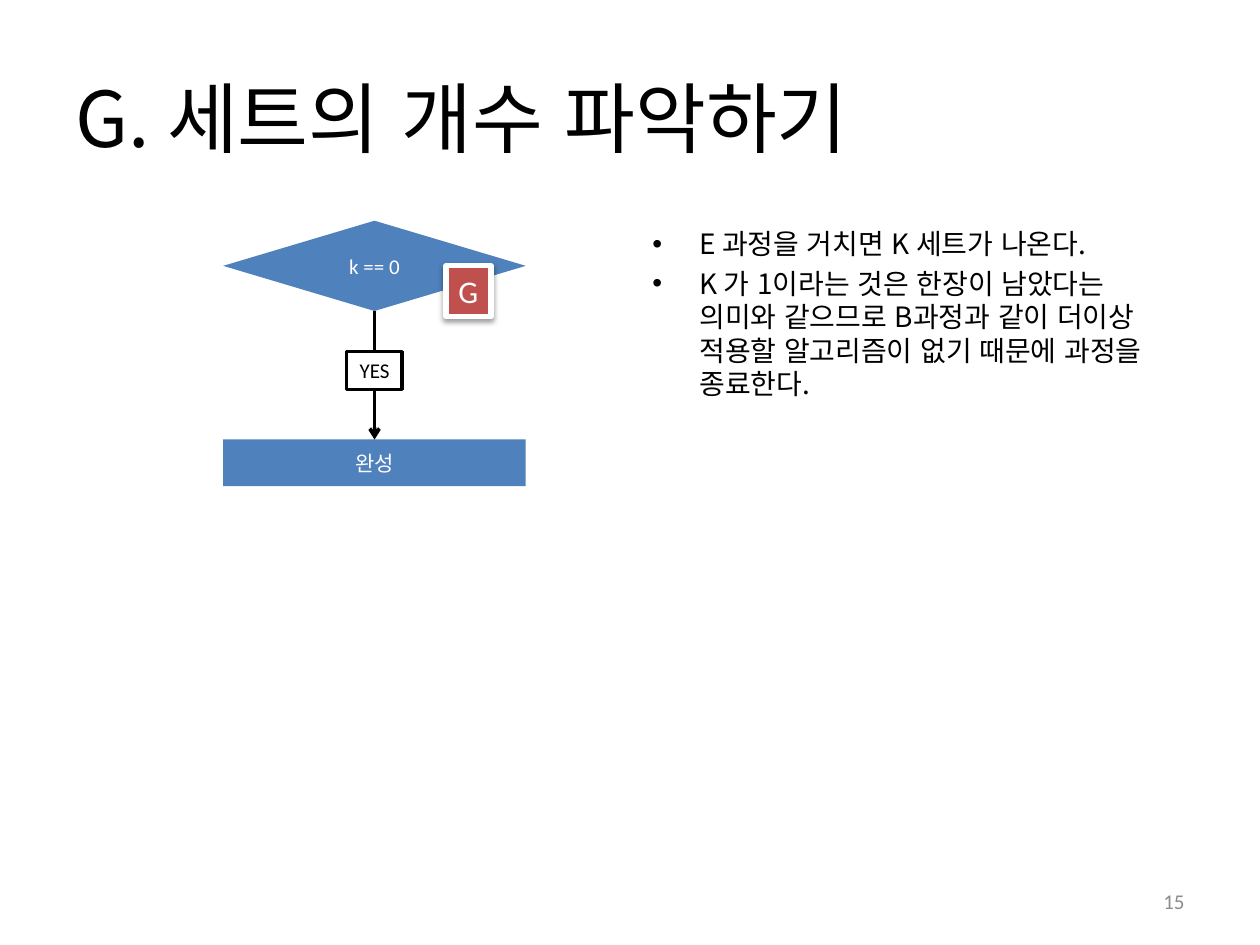
from dataclasses import dataclass

from lxml import etree
from pptx import Presentation
from pptx.dml.color import RGBColor
from pptx.enum.lang import MSO_LANGUAGE_ID
from pptx.enum.shapes import MSO_CONNECTOR, MSO_SHAPE
from pptx.enum.text import MSO_ANCHOR, PP_ALIGN
from pptx.oxml import parse_xml
from pptx.oxml.ns import nsdecls, qn
from pptx.util import Cm, Pt

COLORS = {"black": "000000", "white": "FFFFFF", "blue": "4F81BD",
          "red": "C0504D", "gray": "8C8C8C"}
KOREAN = "Noto Sans CJK KR"
LATIN = "Calibri"


@dataclass
class Label:
    lines: list[str]
    size: int
    color: str = "black"
    font: str = LATIN
    align: PP_ALIGN = PP_ALIGN.LEFT
    anchor: MSO_ANCHOR = MSO_ANCHOR.MIDDLE
    wrap: bool = True
    bullets: bool = False


@dataclass
class Box:
    left: float
    top: float
    width: float
    height: float
    label: Label
    kind: MSO_SHAPE | None = None  # None makes a text box
    fill: str = "white"
    line: str | None = None
    line_width: float = 2
    shadow: bool = False


def rgb(name: str) -> RGBColor:
    return RGBColor.from_string(COLORS[name])


def write(frame, label: Label) -> None:
    frame.word_wrap = label.wrap
    frame.vertical_anchor = label.anchor
    for number, text in enumerate(label.lines):
        paragraph = frame.add_paragraph() if number else frame.paragraphs[0]
        paragraph.alignment = label.align
        run = paragraph.add_run()
        run.text = text
        run.font.size = Pt(label.size)
        run.font.name = label.font
        run.font.color.rgb = rgb(label.color)
        run.font.language_id = MSO_LANGUAGE_ID.KOREAN
        latin = run.font._element.find(qn("a:latin"))
        latin.addnext(parse_xml(f'<a:ea {nsdecls("a")} typeface="{KOREAN}"/>'))
        if label.bullets:
            paragraph.space_before = Pt(label.size * 0.2)
            properties = paragraph._p.get_or_add_pPr()
            properties.set("marL", str(Cm(0.95)))
            properties.set("indent", str(-Cm(0.95)))
            etree.SubElement(properties, qn("a:buFont")).set("typeface", "Arial")
            etree.SubElement(properties, qn("a:buChar")).set("char", "•")


def add_box(slide, box: Box) -> None:
    place = [Cm(v) for v in (box.left, box.top, box.width, box.height)]
    if box.kind is None:
        shape = slide.shapes.add_textbox(*place)
    else:
        shape = slide.shapes.add_shape(box.kind, *place)
        shape.shadow.inherit = False
        shape.fill.solid()
        shape.fill.fore_color.rgb = rgb(box.fill)
        if box.line:
            shape.line.color.rgb = rgb(box.line)
            shape.line.width = Pt(box.line_width)
        else:
            shape.line.fill.background()
    if box.shadow:
        effects = shape._element.spPr.find(qn("a:effectLst"))
        effects.append(parse_xml(
            f'<a:outerShdw {nsdecls("a")} blurRad="{Pt(3.1)}" dist="{Pt(1.6)}" '
            f'dir="5400000" rotWithShape="0"><a:srgbClr val="{COLORS["black"]}">'
            '<a:alpha val="38000"/></a:srgbClr></a:outerShdw>'))
    write(shape.text_frame, box.label)


def add_arrow(slide, x: float, top: float, bottom: float) -> None:
    arrow = slide.shapes.add_connector(
        MSO_CONNECTOR.STRAIGHT, Cm(x), Cm(top), Cm(x), Cm(bottom))
    arrow.line.color.rgb = rgb("black")
    arrow.line.width = Pt(2)
    arrow.line._get_or_add_ln().append(
        parse_xml(f'<a:tailEnd {nsdecls("a")} type="arrow"/>'))
    etree.SubElement(arrow._element.spPr, qn("a:effectLst"))


def centered(text: str, color: str = "white", wrap: bool = True) -> Label:
    return Label([text], 12, color, align=PP_ALIGN.CENTER, wrap=wrap)


presentation = Presentation()
presentation.slide_width, presentation.slide_height = Cm(25.4), Cm(19.05)
slide = presentation.slides.add_slide(presentation.slide_layouts[6])

# Title, explanation and page number
explanation = [
    "E 과정을 거치면 K 세트가 나온다.",
    "K 가 1이라는 것은 한장이 남았다는 의미와 같으므로 B과정과 같이 "
    "더이상 적용할 알고리즘이 없기 때문에 과정을 종료한다.",
]
texts = [
    Box(1.27, 0.76, 22.86, 3.18, Label(["G. 세트의 개수 파악하기"], 44, font=KOREAN)),
    Box(12.9, 4.45, 11.23, 12.57,
        Label(explanation, 16, font=KOREAN, anchor=MSO_ANCHOR.TOP, bullets=True)),
    Box(18.2, 17.65, 5.93, 1.02, Label(["15"], 12, "gray", align=PP_ALIGN.RIGHT)),
]

# Flowchart: decision, result and step badge
FLOW_LEFT, FLOW_WIDTH = 4.5, 6.1
flow_center = FLOW_LEFT + FLOW_WIDTH / 2
decision = Box(FLOW_LEFT, 4.45, FLOW_WIDTH, 1.82, centered("k == 0"),
               MSO_SHAPE.DIAMOND, "blue")
result = Box(FLOW_LEFT, 8.86, FLOW_WIDTH, 0.94, centered("완성"),
             MSO_SHAPE.RECTANGLE, "blue")
badge = Box(8.99, 5.36, 0.91, 1.02, Label(["G"], 18, "white", wrap=False),
            MSO_SHAPE.RECTANGLE, "red", "white", 3, shadow=True)
for item in [*texts, decision, result, badge]:
    add_box(slide, item)

# Branch arrow with its answer
add_arrow(slide, flow_center, decision.top + decision.height, result.top)
add_box(slide, Box(6.99, 7.09, 1.12, 0.76, centered("YES", "black", wrap=False),
                   MSO_SHAPE.RECTANGLE, "white", "black"))

presentation.save("out.pptx")
